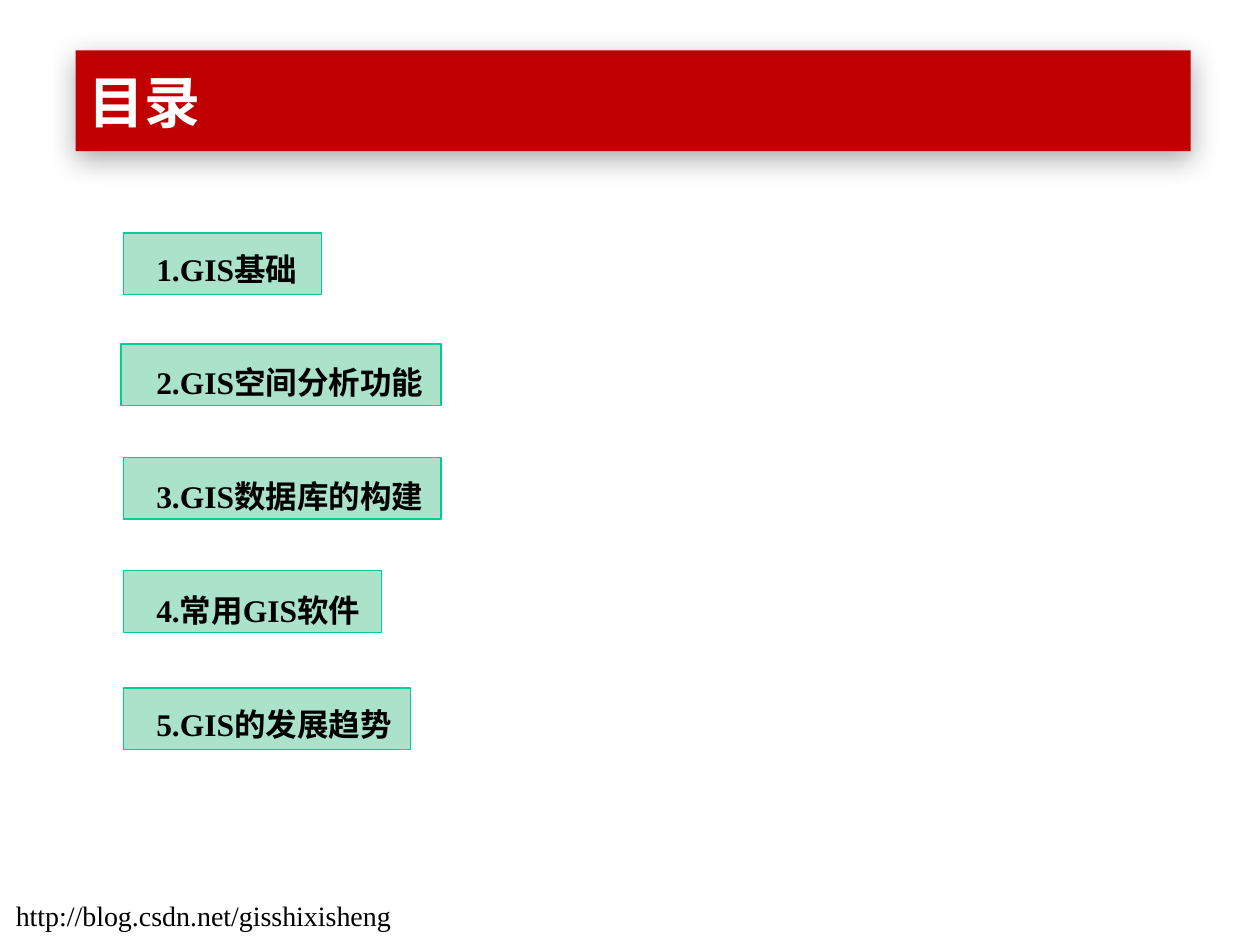
from lxml.etree import SubElement
from pptx import Presentation
from pptx.dml.color import RGBColor
from pptx.enum.shapes import MSO_SHAPE as Shape
from pptx.enum.text import MSO_ANCHOR as Anchor, MSO_AUTO_SIZE as AutoSize, PP_ALIGN as Align
from pptx.oxml import parse_xml
from pptx.oxml.ns import nsdecls, qn
from pptx.util import Inches, Pt

# Content
TITLE = "目录"
# topic, then left, top and width of its highlight
TOPICS = [
    ("1.GIS基础", 0.98, 1.85, 1.57),
    ("2.GIS空间分析功能", 0.96, 2.73, 2.54),
    ("3.GIS数据库的构建", 0.98, 3.63, 2.52),
    ("4.常用GIS软件", 0.98, 4.53, 2.05),
    ("5.GIS的发展趋势", 0.98, 5.46, 2.28),
]
ADDRESS = "http://blog.csdn.net/gisshixisheng"
HIGHLIGHT_HEIGHT = 0.49

THEME = {
    "banner": RGBColor(0xC0, 0x00, 0x00),
    "highlight": RGBColor(0xAA, 0xE2, 0xCA),
    "outline": RGBColor(0x00, 0xCC, 0x99),
    "light": RGBColor(0xFF, 0xFF, 0xFF),
    "dark": RGBColor(0x00, 0x00, 0x00),
    "latin": "Times New Roman",
    "cjk": "Noto Sans CJK SC",
    "title_size": Pt(32),
    "topic_size": Pt(18),
    "address_size": Pt(16),
    "topic_line": Pt(32.5),
}


def place(part, left, top, width, height):
    part.left, part.top = Inches(left), Inches(top)
    part.width, part.height = Inches(width), Inches(height)


def style(paragraph, size, color, latin, bold):
    for run in paragraph.runs:
        font = run.font
        font.size, font.bold, font.name = size, bold, latin
        font.color.rgb = color
        SubElement(font._element, qn("a:ea"), typeface=THEME["cjk"])


def add_soft_shadow(part):
    part._element.spPr.append(parse_xml(
        f'<a:effectLst {nsdecls("a")}>'
        f'<a:outerShdw blurRad="{Pt(16)}" dist="{Pt(4)}" dir="5400000" rotWithShape="0">'
        '<a:srgbClr val="000000"><a:alpha val="32000"/></a:srgbClr>'
        '</a:outerShdw></a:effectLst>'))


prs = Presentation()
prs.slide_width, prs.slide_height = Inches(10), Inches(7.5)
slide = prs.slides.add_slide(prs.slide_layouts[1])
banner, topics = slide.placeholders[0], slide.placeholders[1]

# Highlights behind the topics
for _, left, top, width in TOPICS:
    highlight = slide.shapes.add_shape(
        Shape.RECTANGLE, Inches(left), Inches(top), Inches(width), Inches(HIGHLIGHT_HEIGHT))
    highlight.shadow.inherit = False
    highlight.fill.solid()
    highlight.fill.fore_color.rgb = THEME["highlight"]
    highlight.line.color.rgb = THEME["outline"]
    highlight.line.width = Pt(0.75)

# Title banner
place(banner, 0.6, 0.4, 8.85, 0.8)
banner.fill.solid()
banner.fill.fore_color.rgb = THEME["banner"]
add_soft_shadow(banner)
banner.text_frame.text = TITLE
banner.text_frame.auto_size = AutoSize.NONE
banner.text_frame.vertical_anchor = Anchor.MIDDLE
heading = banner.text_frame.paragraphs[0]
heading.alignment = Align.LEFT
style(heading, THEME["title_size"], THEME["light"], THEME["cjk"], True)

# Topic list, brought in front of the highlights
slide.shapes._spTree.append(topics._element)
place(topics, 1.14, 1.78, 7.87, 4.19)
topics.text_frame.text = "\n".join(topic for topic, *_ in TOPICS)
topics.text_frame.auto_size = AutoSize.NONE
for index, entry in enumerate(topics.text_frame.paragraphs):
    properties = entry._p.get_or_add_pPr()
    properties.set("marL", "0")
    properties.set("indent", "0")
    SubElement(properties, qn("a:buNone"))
    entry.line_spacing = THEME["topic_line"]
    entry.space_before = THEME["topic_line"] if index else Pt(0)
    style(entry, THEME["topic_size"], THEME["dark"], THEME["latin"], True)

# Web address
address = slide.shapes.add_textbox(Inches(0.02), Inches(7.08), Inches(3.19), Inches(0.37))
address.text_frame.text = ADDRESS
address.text_frame.word_wrap = False
address_line = address.text_frame.paragraphs[0]
address_line.alignment = Align.CENTER
style(address_line, THEME["address_size"], THEME["dark"], THEME["latin"], False)

prs.save("out.pptx")
